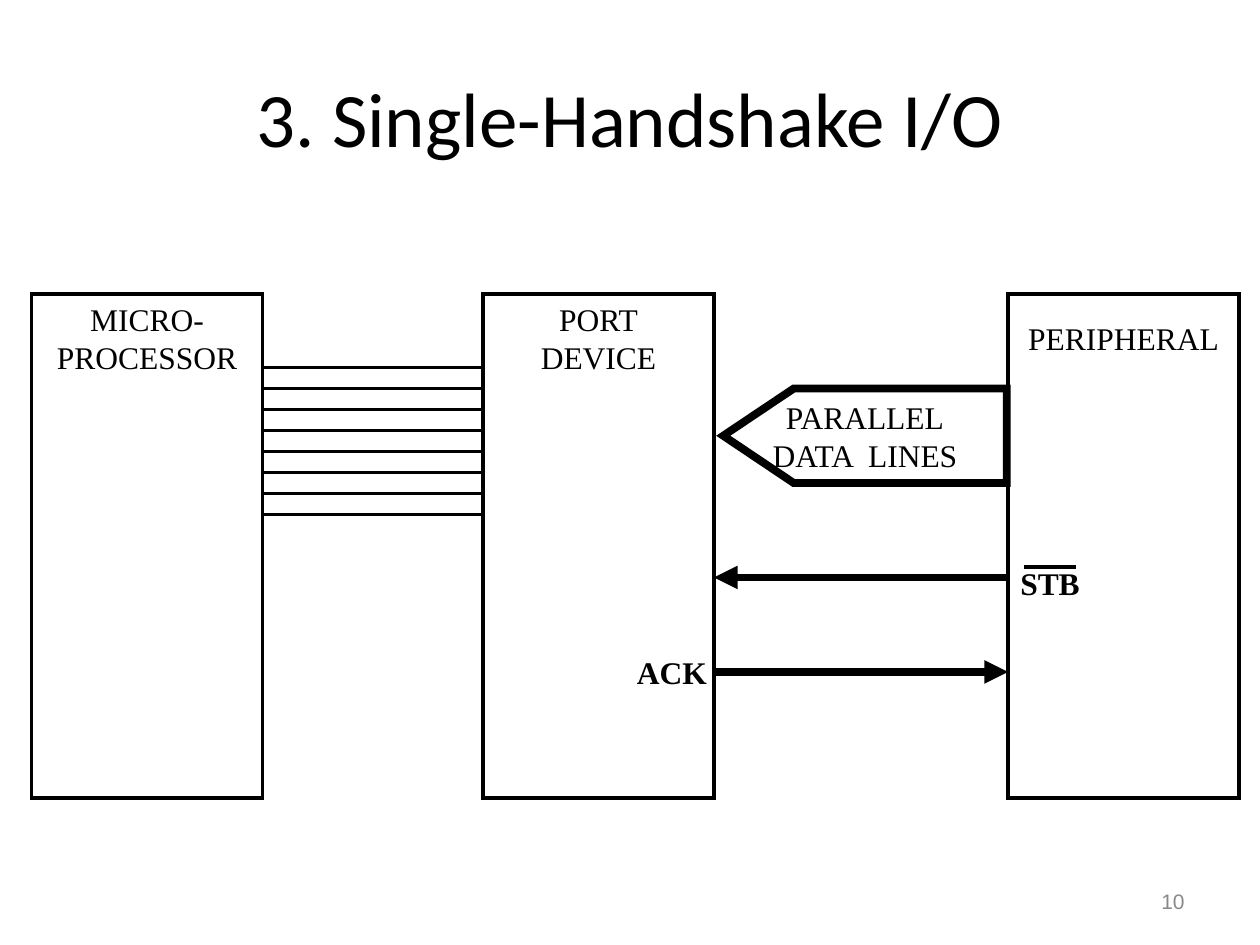
from dataclasses import dataclass

from lxml.etree import SubElement
from pptx import Presentation
from pptx.dml.color import RGBColor
from pptx.enum.shapes import MSO_CONNECTOR as Connector, MSO_SHAPE as Shape
from pptx.enum.text import MSO_ANCHOR as Anchor, PP_ALIGN as Align
from pptx.oxml.ns import qn
from pptx.util import Pt


@dataclass(frozen=True)
class Theme:
    ink: RGBColor = RGBColor(0x00, 0x00, 0x00)
    muted: RGBColor = RGBColor(0x89, 0x89, 0x89)
    title_font: str = "Calibri"
    label_font: str = "Times New Roman"
    number_font: str = "Arial"
    title_size: int = 44
    label_size: int = 18
    number_size: int = 12
    thin: float = 2.25
    thick: float = 4.5


THEME = Theme()
TITLE_ONLY = 5
BLOCK_TOP, BLOCK_WIDTH, BLOCK_HEIGHT = 168, 132, 288
PROCESSOR_LEFT, PORT_LEFT, PERIPHERAL_LEFT = 18, 276, 576
PROCESSOR_RIGHT = PROCESSOR_LEFT + BLOCK_WIDTH
PORT_RIGHT = PORT_LEFT + BLOCK_WIDTH
BUS_LINES, BUS_TOP, BUS_STEP = 8, 210, 12
STROBE_Y, ACKNOWLEDGE_Y = 330, 384


def write_text(shape, text, font=THEME.label_font, size=THEME.label_size,
               color=THEME.ink, bold=False, align=Align.CENTER,
               anchor=Anchor.MIDDLE, top_inset=3.6, side_inset=7.2, wrap=False):
    frame = shape.text_frame
    frame.word_wrap = wrap
    frame.vertical_anchor = anchor
    frame.margin_left = frame.margin_right = Pt(side_inset)
    frame.margin_top, frame.margin_bottom = Pt(top_inset), Pt(3.6)
    frame.text = text
    for para in frame.paragraphs:
        para.alignment = align
        for span in para.runs:
            span.font.name = font
            span.font.size = Pt(size)
            span.font.bold = bold
            span.font.color.rgb = color


def outline(shape, width):
    shape.shadow.inherit = False
    shape.fill.background()
    shape.line.color.rgb = THEME.ink
    shape.line.width = Pt(width)
    SubElement(shape.line._get_or_add_ln(), qn("a:miter"), lim="800000")


def set_title(page, text):
    title = page.shapes.title
    title.left, title.top = Pt(36), Pt(21.6)
    title.width, title.height = Pt(648), Pt(90)
    write_text(title, text, font=THEME.title_font, size=THEME.title_size, wrap=True)


def add_label(page, text, left, top, width, height, **text_format):
    box = page.shapes.add_textbox(Pt(left), Pt(top), Pt(width), Pt(height))
    write_text(box, text, **text_format)


def add_block(page, text, left, top_inset):
    block = page.shapes.add_shape(Shape.RECTANGLE, Pt(left), Pt(BLOCK_TOP),
                                  Pt(BLOCK_WIDTH), Pt(BLOCK_HEIGHT))
    outline(block, THEME.thin)
    write_text(block, text, anchor=Anchor.TOP, top_inset=top_inset)


def add_data_arrow(page, text, left, shoulder, right, top, bottom):
    points = [(shoulder, bottom), (left, (top + bottom) / 2), (shoulder, top), (right, top)]
    builder = page.shapes.build_freeform(Pt(right), Pt(bottom))
    builder.add_line_segments([(Pt(x), Pt(y)) for x, y in points], close=True)
    arrow = builder.convert_to_shape()
    outline(arrow, THEME.thick)
    write_text(arrow, text)


def add_line(page, start, end, y, width=THEME.thin, arrow=False):
    line = page.shapes.add_connector(Connector.STRAIGHT, Pt(start), Pt(y), Pt(end), Pt(y))
    line.line.color.rgb = THEME.ink
    line.line.width = Pt(width)
    if arrow:
        SubElement(line.line._get_or_add_ln(), qn("a:tailEnd"), type="triangle")
    SubElement(line._element.spPr, qn("a:effectLst"))


def main():
    deck = Presentation()
    deck.slide_width, deck.slide_height = Pt(720), Pt(540)
    page = deck.slides.add_slide(deck.slide_layouts[TITLE_ONLY])

    set_title(page, "3. Single-Handshake I/O")
    add_label(page, "10", 516, 500.5, 168, 28.8, font=THEME.number_font,
              size=THEME.number_size, color=THEME.muted, align=Align.RIGHT, wrap=True)

    add_block(page, "MICRO-\nPROCESSOR", PROCESSOR_LEFT, top_inset=3.5)
    add_block(page, "PORT\nDEVICE", PORT_LEFT, top_inset=3.5)
    add_block(page, "PERIPHERAL", PERIPHERAL_LEFT, top_inset=14.5)

    for index in range(BUS_LINES):
        add_line(page, PROCESSOR_RIGHT, PORT_LEFT, BUS_TOP + index * BUS_STEP)

    add_data_arrow(page, "PARALLEL\nDATA  LINES", left=413.3, shoulder=453.6,
                   right=575.3, top=222, bottom=276)

    add_line(page, PERIPHERAL_LEFT, PORT_RIGHT, STROBE_Y, THEME.thick, arrow=True)
    add_line(page, PORT_RIGHT, PERIPHERAL_LEFT, ACKNOWLEDGE_Y, THEME.thick, arrow=True)
    add_label(page, "STB", 570, 312, 60, 42, bold=True, side_inset=0)
    add_line(page, 585, 615, 324)
    add_label(page, "ACK", 360, 372, 48, 24, bold=True, side_inset=0)

    deck.save("out.pptx")


if __name__ == "__main__":
    main()
